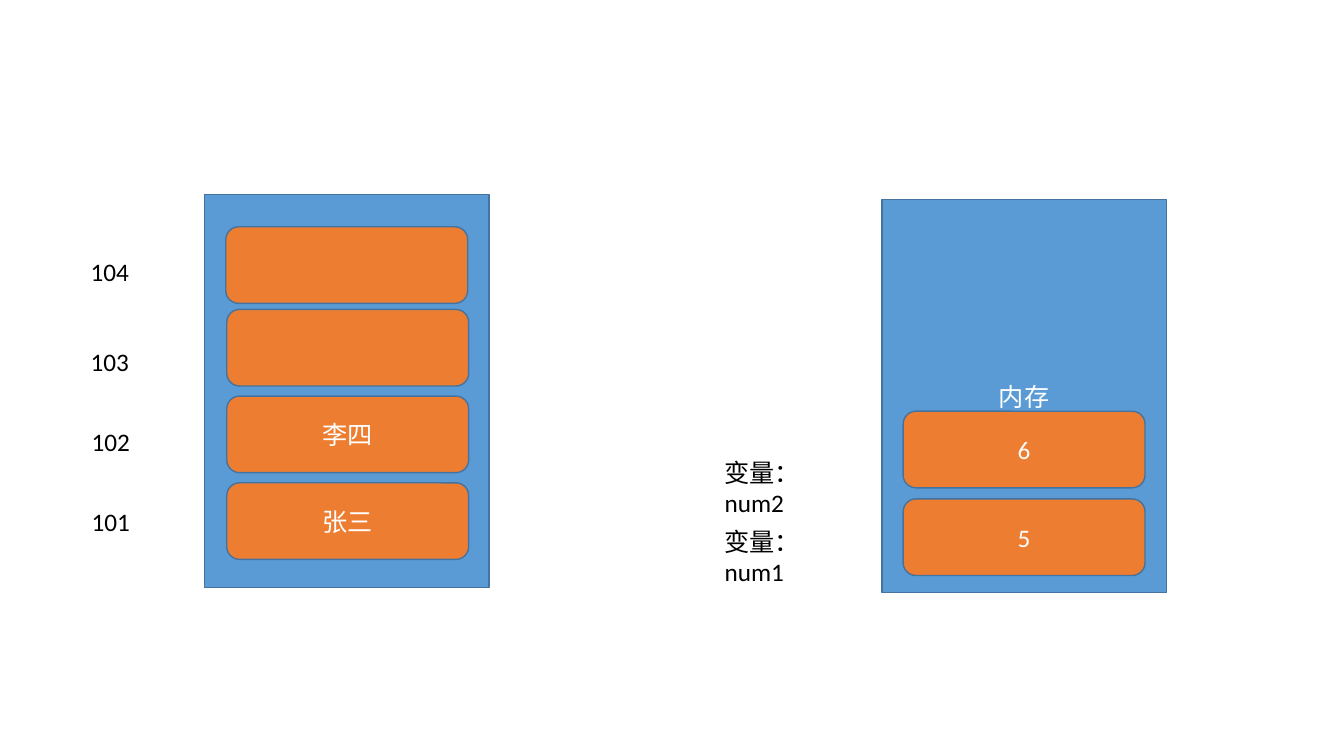
from dataclasses import dataclass

from pptx import Presentation
from pptx import util as u
from pptx.dml.color import RGBColor
from pptx.enum import shapes, text


@dataclass(frozen=True)
class Theme:
    memory: str = "5B9BD5"
    slot: str = "ED7D31"
    outline: str = "43739E"
    light: str = "FFFFFF"
    dark: str = "000000"
    font: str = "Calibri"
    size: int = 18


THEME = Theme()
COLUMNS, ROWS = 133.33, 75  # square grid cells of a tenth of an inch
CELL = u.Inches(0.1)
MEMORY_SIZE = (28.2, 39)
SLOT_SIZE = (24, 7.6)
LABEL_HEIGHT = 4


def grid(*lengths):
    return [round(length * CELL) for length in lengths]


def write(shape, wording, color, alignment):
    paragraph = shape.text_frame.paragraphs[0]
    paragraph.alignment = alignment
    run = paragraph.add_run()
    run.text = wording
    run.font.name = THEME.font
    run.font.size = u.Pt(THEME.size)
    run.font.color.rgb = RGBColor.from_string(color)


def add_box(slide, kind, column, row, size, fill, wording):
    shape = slide.shapes.add_shape(kind, *grid(column, row, *size))
    shape.shadow.inherit = False
    shape.fill.solid()
    shape.fill.fore_color.rgb = RGBColor.from_string(fill)
    shape.line.color.rgb = RGBColor.from_string(THEME.outline)
    shape.line.width = u.Pt(1)
    shape.text_frame.vertical_anchor = text.MSO_ANCHOR.MIDDLE
    if wording:
        write(shape, wording, THEME.light, text.PP_ALIGN.CENTER)


def add_memory(slide, column, row, wording=""):
    add_box(slide, shapes.MSO_SHAPE.RECTANGLE, column, row, MEMORY_SIZE,
            THEME.memory, wording)


def add_slot(slide, column, row, wording=""):
    add_box(slide, shapes.MSO_SHAPE.ROUNDED_RECTANGLE, column, row, SLOT_SIZE,
            THEME.slot, wording)


def add_label(slide, column, row, width, wording, wrap=False):
    label = slide.shapes.add_textbox(*grid(column, row, width, LABEL_HEIGHT))
    frame = label.text_frame
    frame.word_wrap = wrap
    frame.auto_size = text.MSO_AUTO_SIZE.SHAPE_TO_FIT_TEXT
    if wrap:
        frame.margin_right = grid(3)[0]  # puts the name on its own line
    write(label, wording, THEME.dark, text.PP_ALIGN.LEFT)


def main():
    presentation = Presentation()
    presentation.slide_width, presentation.slide_height = grid(COLUMNS, ROWS)
    slide = presentation.slides.add_slide(presentation.slide_layouts[6])

    # Memory with numbered addresses, from the bottom up
    add_memory(slide, 20.3, 19.3)
    for column, row, wording in ((22.5, 47.9, "张三"), (22.5, 39.3, "李四"),
                                 (22.5, 30.7, ""), (22.4, 22.5, "")):
        add_slot(slide, column, row, wording)
    for column, row, address in ((8.1, 49.7, "101"), (8.1, 41.8, "102"),
                                 (8, 33.9, "103"), (8, 24.9, "104")):
        add_label(slide, column, row, 5.9, address)

    # Memory with named variables, from the bottom up
    add_memory(slide, 87.5, 19.8, "内存")
    for row, value in ((49.5, "5"), (40.8, "6")):
        add_slot(slide, 89.6, row, value)
    for row, name in ((51.7, "num1"), (44.9, "num2")):
        add_label(slide, 70.9, row, 15.6, "变量：" + name, wrap=True)

    presentation.save("out.pptx")


main()
